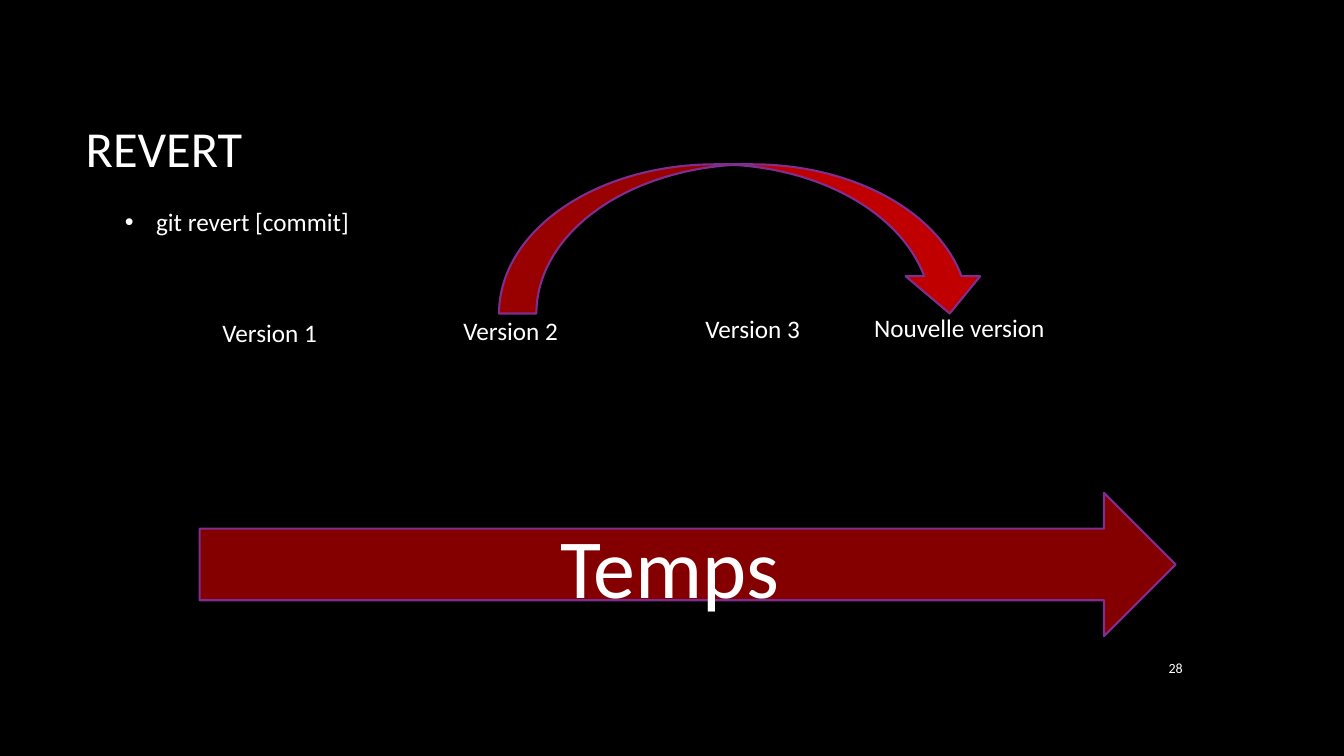
"""Build the git revert slide with its version timeline."""
from dataclasses import dataclass

from lxml.etree import SubElement
from pptx import Presentation
from pptx.dml.color import RGBColor
from pptx.enum.shapes import MSO_SHAPE as SHAPE
from pptx.enum.text import MSO_ANCHOR as ANCHOR, MSO_AUTO_SIZE as AUTO, PP_ALIGN as ALIGN
from pptx.oxml.ns import qn
from pptx.util import Emu, Pt

WHITE = RGBColor(0xFF, 0xFF, 0xFF)
BLACK = RGBColor(0, 0, 0)
RED = RGBColor(0xC0, 0, 0)
PURPLE = RGBColor(0x7F, 0x2E, 0x8F)
FONT = "Calibri"
EMU_PER_PX = 9144


@dataclass(frozen=True)
class Label:
    text: str
    box: tuple[int, int, int, int]
    size: int = 18
    align: ALIGN = ALIGN.CENTER
    anchor: ANCHOR = ANCHOR.MIDDLE
    auto: AUTO = AUTO.NONE
    bullet: bool = False


@dataclass(frozen=True)
class Arrow:
    kind: SHAPE
    box: tuple[int, int, int, int]
    opacity: int = 100
    label: Label | None = None


TITLE = Label("REVERT", (75, 67, 1108, 159), 36, ALIGN.LEFT)
COMMAND = Label("git revert [commit]", (114, 135, 425, 169), align=ALIGN.LEFT, bullet=True)
NUMBER = Label("28", (1123, 642, 60, 41), 10, ALIGN.RIGHT)
VERSIONS = [
    Label(text, (x, y, 203, 40), anchor=ANCHOR.TOP, auto=AUTO.SHAPE_TO_FIT_TEXT)
    for text, x, y in (
        ("Version 1", 166, 310),
        ("Version 2", 405, 308),
        ("Version 3", 645, 306),
        ("Nouvelle version", 850, 305),
    )
]
TIME_BOX = (198, 489, 968, 142)
ARROWS = [
    Arrow(SHAPE.RIGHT_ARROW, TIME_BOX, 69, Label("Temps", TIME_BOX, 60)),
    Arrow(SHAPE.CURVED_DOWN_ARROW, (495, 163, 484, 148)),
]


def px(n: int) -> Emu:
    """Turn px into EMU."""
    return Emu(n * EMU_PER_PX)


def add_bullet(p) -> None:
    """Give a paragraph a hanging white bullet."""
    pPr = p._p.get_or_add_pPr()
    pPr.set("marL", str(px(31)))
    pPr.set("indent", str(px(-31)))
    color = SubElement(pPr, qn("a:buClr"))
    SubElement(color, qn("a:srgbClr"), val=str(WHITE))
    SubElement(pPr, qn("a:buFont"), typeface="Arial")
    SubElement(pPr, qn("a:buChar"), char="•")
    p.space_after = Pt(10)


def write(sp, label: Label) -> None:
    """Put the formatted label text into a shape."""
    tf = sp.text_frame
    frame = {"word_wrap": True, "auto_size": label.auto, "vertical_anchor": label.anchor}
    for name, value in frame.items():
        setattr(tf, name, value)
    p = tf.paragraphs[0]
    p.alignment = label.align
    if label.bullet:
        add_bullet(p)
    r = p.add_run()
    r.text = label.text
    for name, value in {"name": FONT, "size": Pt(label.size)}.items():
        setattr(r.font, name, value)
    r.font.color.rgb = WHITE


def add_label(slide, label: Label) -> None:
    """Add a text box holding a label."""
    write(slide.shapes.add_textbox(*map(px, label.box)), label)


def add_arrow(slide, arrow: Arrow) -> None:
    """Add a red block arrow with a purple outline."""
    sp = slide.shapes.add_shape(arrow.kind, *map(px, arrow.box))
    sp.shadow.inherit = False
    sp.fill.solid()
    sp.fill.fore_color.rgb = RED
    sp.line.color.rgb = PURPLE
    sp.line.width = Pt(1.5)
    if arrow.opacity < 100:
        color = sp._element.spPr.find(qn("a:solidFill")).find(qn("a:srgbClr"))
        SubElement(color, qn("a:alpha"), val=str(arrow.opacity * 1000))
    if arrow.label:
        write(sp, arrow.label)


def main() -> None:
    """Build and save the slide."""
    prs = Presentation()
    prs.slide_width, prs.slide_height = px(1333), px(750)
    slide = prs.slides.add_slide(prs.slide_layouts[5])
    slide.background.fill.solid()
    slide.background.fill.fore_color.rgb = BLACK

    title = slide.shapes.title
    for name, value in zip(("left", "top", "width", "height"), TITLE.box):
        setattr(title, name, px(value))
    write(title, TITLE)

    time, jump = ARROWS
    *past, new = VERSIONS
    for label in (COMMAND, NUMBER):
        add_label(slide, label)
    add_arrow(slide, time)
    for label in past:
        add_label(slide, label)
    add_arrow(slide, jump)
    add_label(slide, new)
    prs.save("out.pptx")


if __name__ == "__main__":
    main()
